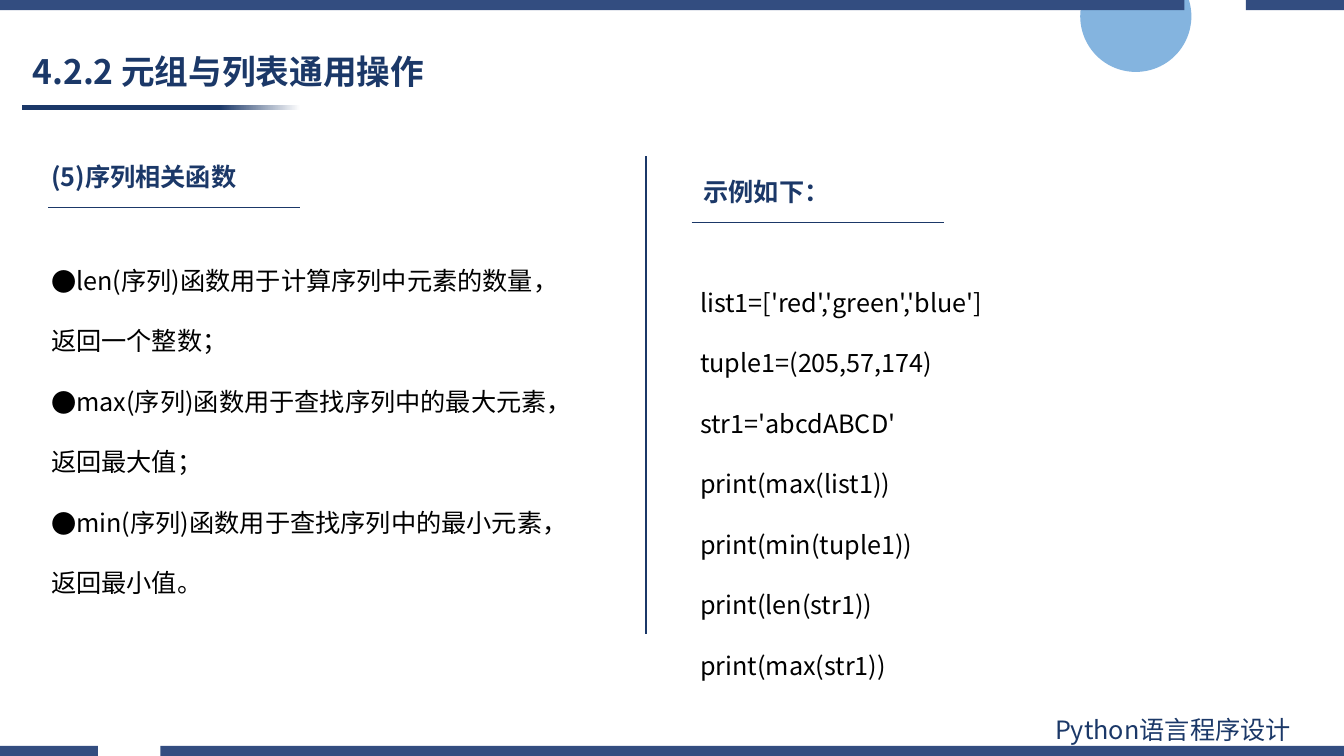
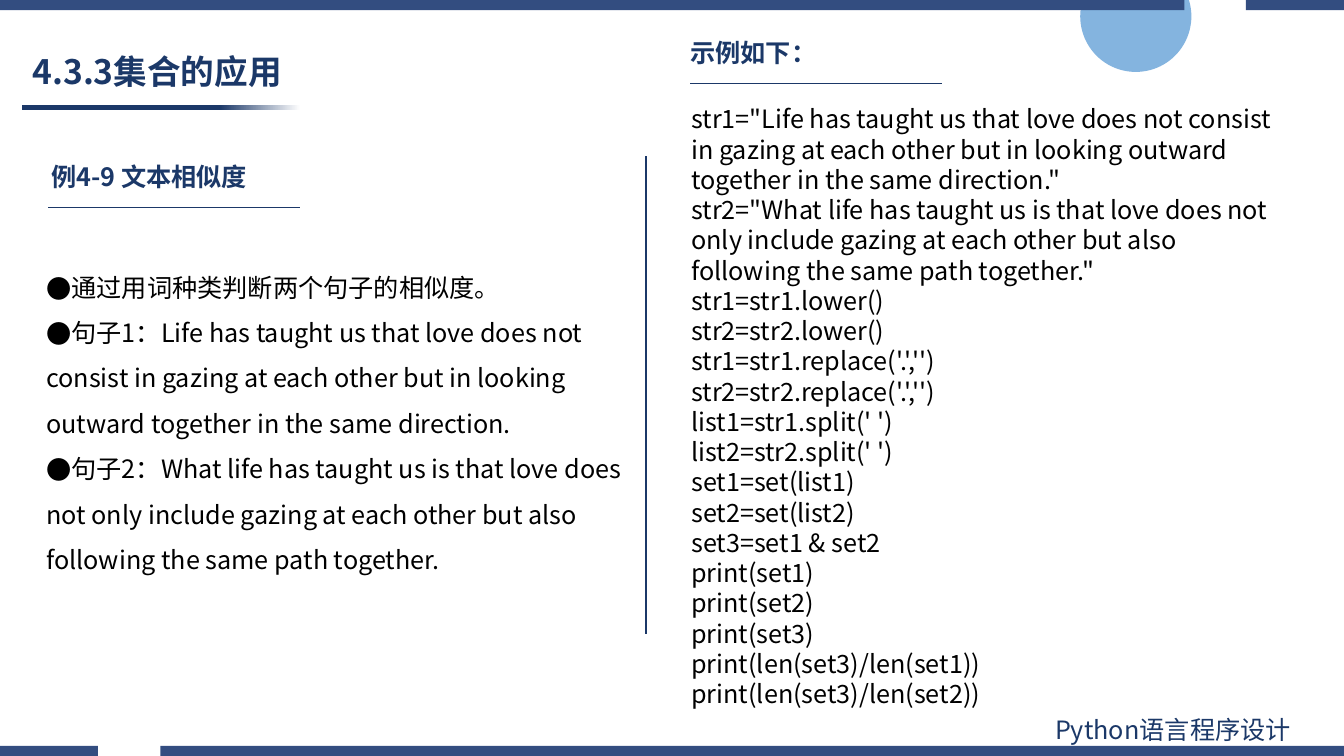
from dataclasses import dataclass

from lxml.etree import SubElement
from pptx import Presentation
from pptx.dml.color import RGBColor
from pptx.enum.shapes import MSO_CONNECTOR, MSO_SHAPE
from pptx.enum.text import MSO_ANCHOR, MSO_AUTO_SIZE, PP_ALIGN
from pptx.oxml.ns import qn
from pptx.util import Pt

FONT = "Noto Sans CJK SC"
NAVY, BAND, SKY, WHITE, BLACK = "1B3868", "334D80", "5B9BD5", "FFFFFF", "000000"
SLIDE_WIDTH, SLIDE_HEIGHT, BAND_HEIGHT = 960, 540, 7.2
HEADING_HEIGHT, RULE_DROP, RULE_WIDTH = 29, 36.7, 180


@dataclass
class Box:
    left: float
    top: float
    width: float
    height: float

    def in_points(self) -> tuple:
        return Pt(self.left), Pt(self.top), Pt(self.width), Pt(self.height)


@dataclass
class Panel:
    """A heading with a rule below it, and the body text that follows."""
    heading: str
    heading_left: float
    heading_top: float
    rule_left: float
    body_box: Box
    body: list[str]
    line_spacing: float = 1.0
    bulleted: bool = False


@dataclass
class Page:
    title: str
    panels: list[Panel]


PAGES = [
    Page("4.2.2 元组与列表通用操作", [
        Panel("(5)序列相关函数", 29.5, 111.6, 34.6, Box(29.5, 164.2, 391, 269), [
            "len(序列)函数用于计算序列中元素的数量，返回一个整数；",
            "max(序列)函数用于查找序列中的最大元素，返回最大值；",
            "min(序列)函数用于查找序列中的最小元素，返回最小值。",
        ], line_spacing=2.0, bulleted=True),
        Panel("示例如下：", 495.4, 122.4, 494, Box(493, 180, 391, 306), [
            "list1=['red','green','blue']",
            "tuple1=(205,57,174)",
            "str1='abcdABCD'",
            "print(max(list1))",
            "print(min(tuple1))",
            "print(len(str1))",
            "print(max(str1))",
        ], line_spacing=2.0),
    ]),
    Page("4.3.3集合的应用", [
        Panel("例4-9 文本相似度", 29.5, 111.6, 34.6, Box(26, 180, 431.3, 232.5), [
            "通过用词种类判断两个句子的相似度。",
            "句子1：Life has taught us that love does not consist in gazing at "
            "each other but in looking outward together in the same direction.",
            "句子2：What life has taught us is that love does not only include gazing "
            "at each other but also following the same path together.",
        ], line_spacing=1.5, bulleted=True),
        Panel("示例如下：", 486, 23, 493, Box(486.7, 70.6, 431.3, 443.5), [
            'str1="Life has taught us that love does not consist in gazing at '
            'each other but in looking outward together in the same direction."',
            'str2="What life has taught us is that love does not only include gazing '
            'at each other but also following the same path together."',
            "str1=str1.lower()",
            "str2=str2.lower()",
            "str1=str1.replace('.','')",
            "str2=str2.replace('.','')",
            "list1=str1.split(' ')",
            "list2=str2.split(' ')",
            "set1=set(list1)",
            "set2=set(list2)",
            "set3=set1 & set2",
            "print(set1)",
            "print(set2)",
            "print(set3)",
            "print(len(set3)/len(set1))",
            "print(len(set3)/len(set2))",
        ]),
    ]),
]


def rgb(code: str) -> RGBColor:
    return RGBColor.from_string(code)


def format_paragraph(paragraph, size: float, color: str, bold: bool = False) -> None:
    font = paragraph.font
    font.size, font.bold, font.name = Pt(size), bold, FONT
    font.color.rgb = rgb(color)
    defaults = paragraph._p.pPr.find(qn("a:defRPr"))
    SubElement(defaults, qn("a:ea")).set("typeface", FONT)


def add_bullet(paragraph) -> None:
    properties = paragraph._p.get_or_add_pPr()
    properties.set("marL", "0")
    properties.set("indent", "0")
    SubElement(properties, qn("a:buFont")).set("typeface", FONT)
    SubElement(properties, qn("a:buChar")).set("char", "●")


def add_text(slide, box: Box, lines: list[str], color: str, bold: bool = False,
             line_spacing: float = 1.0, bulleted: bool = False) -> None:
    frame = slide.shapes.add_textbox(*box.in_points()).text_frame
    frame.word_wrap = True
    frame.auto_size = MSO_AUTO_SIZE.SHAPE_TO_FIT_TEXT
    for index, line in enumerate(lines):
        paragraph = frame.add_paragraph() if index else frame.paragraphs[0]
        paragraph.text = line
        if bulleted:
            add_bullet(paragraph)
        paragraph.line_spacing = line_spacing
        format_paragraph(paragraph, 18, color, bold)


def add_line(slide, start: tuple[float, float], end: tuple[float, float],
             weight: float) -> None:
    line = slide.shapes.add_connector(
        MSO_CONNECTOR.STRAIGHT, *(Pt(value) for value in (*start, *end)))
    line.line.color.rgb = rgb(NAVY)
    line.line.width = Pt(weight)
    SubElement(line._element.spPr, qn("a:effectLst"))


def add_plain_shape(slide, kind: MSO_SHAPE, box: Box, color: str):
    shape = slide.shapes.add_shape(kind, *box.in_points())
    shape.shadow.inherit = False
    shape.line.fill.background()
    shape.fill.solid()
    shape.fill.fore_color.rgb = rgb(color)
    return shape


def draw_backdrop(slide) -> None:
    circle = add_plain_shape(slide, MSO_SHAPE.OVAL, Box(771.6, -28, 79.4, 79.4), SKY)
    circle_color = circle._element.spPr.find(".//" + qn("a:srgbClr"))
    SubElement(circle_color, qn("a:alpha")).set("val", "75000")

    underline = add_plain_shape(slide, MSO_SHAPE.RECTANGLE, Box(15.5, 75, 199, 3.6), NAVY)
    underline.fill.gradient()
    underline.fill.gradient_angle = 0
    fade = zip(underline.fill.gradient_stops, (0.71, 1.0), (NAVY, WHITE))
    for stop, position, color in fade:
        stop.position = position
        stop.color.rgb = rgb(color)

    bottom = SLIDE_HEIGHT - BAND_HEIGHT
    for left, right, top in ((0, 846, 0), (890, SLIDE_WIDTH, 0),
                             (0, 70, bottom), (114.5, SLIDE_WIDTH, bottom)):
        add_plain_shape(slide, MSO_SHAPE.RECTANGLE,
                        Box(left, top, right - left, BAND_HEIGHT), BAND)
    add_text(slide, Box(746.6, 507, 211.7, 29), ["Python语言程序设计"], NAVY)
    add_line(slide, (461.5, 111.6), (461.5, 453), 2)


def move_to_layout(slide, layout) -> None:
    """Hand all shapes but the title to the layout, so that every slide shows them."""
    for number, shape in enumerate(list(slide.shapes), start=100):
        if not shape.is_placeholder:
            element = shape._element
            element.find(".//" + qn("p:cNvPr")).set("id", str(number))
            layout.shapes.element.append(element)


def set_title(slide, text: str) -> None:
    title = slide.shapes.title
    title.left, title.top, title.width, title.height = Box(16, 32.4, 435, 40).in_points()
    frame = title.text_frame
    frame.text = text
    frame.auto_size = MSO_AUTO_SIZE.NONE
    frame.vertical_anchor = MSO_ANCHOR.MIDDLE
    paragraph = frame.paragraphs[0]
    paragraph.alignment = PP_ALIGN.LEFT
    paragraph.line_spacing = 0.9
    format_paragraph(paragraph, 24, NAVY, bold=True)


def add_panel(slide, panel: Panel) -> None:
    heading_box = Box(panel.heading_left, panel.heading_top, 245, HEADING_HEIGHT)
    add_text(slide, heading_box, [panel.heading], NAVY, bold=True)
    rule_top = panel.heading_top + RULE_DROP
    add_line(slide, (panel.rule_left, rule_top),
             (panel.rule_left + RULE_WIDTH, rule_top), 0.5)
    add_text(slide, panel.body_box, panel.body, BLACK,
             line_spacing=panel.line_spacing, bulleted=panel.bulleted)


def main() -> None:
    deck = Presentation()
    deck.slide_width, deck.slide_height = Pt(SLIDE_WIDTH), Pt(SLIDE_HEIGHT)
    layout = deck.slide_layouts.get_by_name("Title Only")
    for index, page in enumerate(PAGES):
        slide = deck.slides.add_slide(layout)
        if index == 0:
            draw_backdrop(slide)
            move_to_layout(slide, layout)
        set_title(slide, page.title)
        for panel in page.panels:
            add_panel(slide, panel)
    deck.save("out.pptx")


if __name__ == "__main__":
    main()
